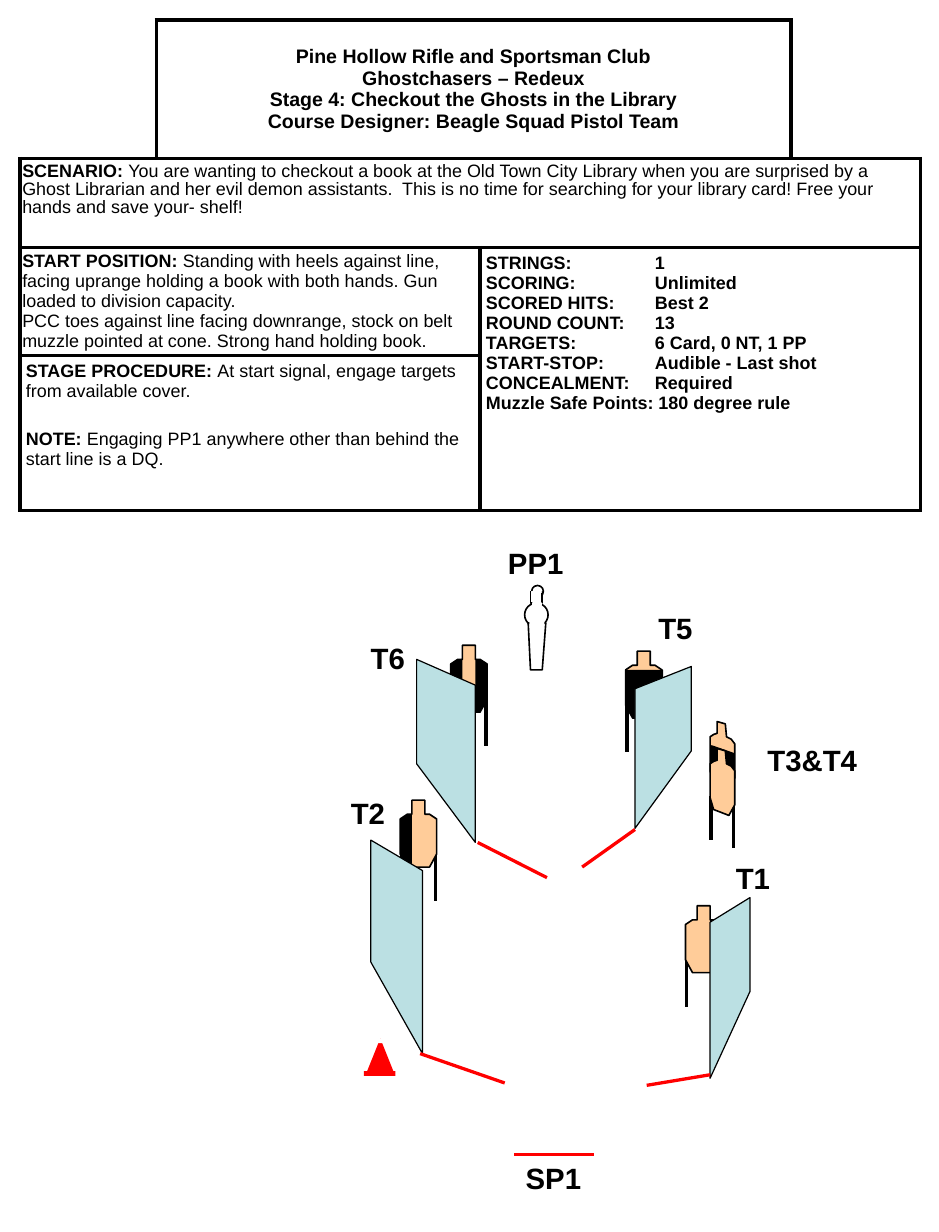
"""Build a one-page shooting stage briefing with its course diagram."""
from dataclasses import dataclass

from lxml.etree import SubElement
from pptx import Presentation
from pptx.dml.color import RGBColor
from pptx.enum.shapes import MSO_CONNECTOR, MSO_SHAPE
from pptx.enum.text import MSO_ANCHOR, PP_ALIGN
from pptx.oxml.ns import qn
from pptx.util import Inches, Pt


@dataclass(frozen=True)
class Theme:
    font: str = "Arial"
    black: RGBColor = RGBColor(0, 0, 0)
    white: RGBColor = RGBColor(255, 255, 255)
    red: RGBColor = RGBColor(255, 0, 0)
    tan: RGBColor = RGBColor(0xFF, 0xCC, 0x99)
    wall: RGBColor = RGBColor(0xBB, 0xE0, 0xE3)
    title: Pt = Pt(12)
    body: Pt = Pt(11)
    label: Pt = Pt(18)


theme = Theme()
presentation = Presentation()
presentation.slide_width, presentation.slide_height = Inches(8), Inches(10.5)
slide = presentation.slides.add_slide(presentation.slide_layouts[6])


def draw_line(start, end, color, width):
    ends = [Inches(value) for value in (*start, *end)]
    connector = slide.shapes.add_connector(MSO_CONNECTOR.STRAIGHT, *ends)
    connector.line.color.rgb = color
    connector.line.width = Pt(width)
    SubElement(connector._element.spPr, qn("a:effectLst"))


def draw_outline(points, fill, width, left=0, top=0):
    corners = [(Inches(left + x), Inches(top + y)) for x, y in points]
    builder = slide.shapes.build_freeform(*corners[0])
    builder.add_line_segments(corners[1:], close=True)
    shape = builder.convert_to_shape()
    shape.shadow.inherit = False
    shape.fill.solid()
    shape.fill.fore_color.rgb = fill
    if width:
        shape.line.color.rgb = theme.black
        shape.line.width = Pt(width)
    else:
        shape.line.fill.background()


columns = [1.16, 2.76, 2.65, 1.1]
rows = [1.18, 0.76, 0.92, 1.32]
table_shape = slide.shapes.add_table(
    len(rows), len(columns), Inches(0.17), Inches(0.17), Inches(sum(columns)), Inches(sum(rows)))
table = table_shape.table
table.first_row = table.horz_banding = False
for column, width in zip(table.columns, columns):
    column.width = Inches(width)
for row, height in zip(table.rows, rows):
    row.height = Inches(height)

open_sides = {(0, 0): "LT", (0, 3): "RT"}
for row in range(len(rows)):
    for column in range(len(columns)):
        cell = table.cell(row, column)
        properties = cell._tc.get_or_add_tcPr()
        for side in "LRTB":
            border = SubElement(properties, qn(f"a:ln{side}"), w=str(Pt(2.25)))
            if side in open_sides.get((row, column), ""):
                SubElement(border, qn("a:noFill"))
            else:
                solid = SubElement(border, qn("a:solidFill"))
                SubElement(solid, qn("a:srgbClr"), val=str(theme.black))
        cell.fill.solid()
        cell.fill.fore_color.rgb = theme.white

title = ("Pine Hollow Rifle and Sportsman Club\nGhostchasers – Redeux\n"
         "Stage 4: Checkout the Ghosts in the Library\nCourse Designer: Beagle Squad Pistol Team")
scenario = ("You are wanting to checkout a book at the Old Town City Library when you are surprised by a "
            "Ghost Librarian and her evil demon assistants.  This is no time for searching for your "
            "library card! Free your hands and save your- shelf!")
start_position = ("Standing with heels against line, facing uprange holding a book with both hands. "
                  "Gun loaded to division capacity.")
carbine_start = ("PCC toes against line facing downrange, stock on belt muzzle pointed at cone. "
                 "Strong hand holding book.")
details = ["STRINGS:\t1", "SCORING:\tUnlimited", "SCORED HITS:\tBest 2", "ROUND COUNT:\t13",
           "TARGETS:\t6 Card, 0 NT, 1 PP", "START-STOP:\tAudible - Last shot",
           "CONCEALMENT:\tRequired", "Muzzle Safe Points: 180 degree rule"]
sections = [
    ((0, 1), (0, 2), 0.05, 0.05, [(title, "")]),
    ((1, 0), (1, 3), 0.02, 0.04, [("SCENARIO: ", scenario)]),
    ((2, 0), (2, 1), 0.02, 0.03, [("START POSITION: ", start_position), ("", carbine_start)]),
    ((2, 2), (3, 3), 0.05, 0.05, [(detail, "") for detail in details]),
    ((3, 0), (3, 1), 0.05, 0.05, [
        ("STAGE PROCEDURE: ", "At start signal, engage targets from available cover."),
        ("NOTE: ", "Engaging PP1 anywhere other than behind the start line is a DQ.")]),
]
for first, last, side_margin, end_margin, entries in sections:
    cell = table.cell(*first)
    cell.merge(table.cell(*last))
    cell.margin_left = cell.margin_right = Inches(side_margin)
    cell.margin_top = cell.margin_bottom = Inches(end_margin)
    for index, (heading, text) in enumerate(entries):
        frame = cell.text_frame
        paragraph = frame.add_paragraph() if index else frame.paragraphs[0]
        if heading:
            paragraph.text = heading
        if text:
            paragraph.add_run().text = text
        for run in paragraph.runs:
            run.font.bold = run.text != text
        if "\t" in heading:
            tabs = SubElement(paragraph._p.get_or_add_pPr(), qn("a:tabLst"))
            SubElement(tabs, qn("a:tab"), pos=str(Inches(1.44)), algn="l")
        paragraph.font.name = theme.font
        paragraph.font.size = theme.title if heading == title else theme.body
        paragraph.font.color.rgb = theme.black
table.cell(0, 1).vertical_anchor = MSO_ANCHOR.MIDDLE
table.cell(0, 1).text_frame.paragraphs[0].alignment = PP_ALIGN.CENTER
table.cell(1, 0).text_frame.paragraphs[0].line_spacing = 0.9
table.cell(3, 0).text_frame.paragraphs[1].space_before = Pt(17)

target = [(0.1, 0), (0.21, 0), (0.21, 0.12), (0.25, 0.12), (0.31, 0.16), (0.31, 0.46),
          (0.25, 0.57), (0.06, 0.57), (0, 0.46), (0, 0.16), (0.06, 0.12), (0.1, 0.12)]
left_cover = [(0.1, 0.12), (0.1, 0.57), (0.06, 0.57), (0, 0.46), (0, 0.16), (0.06, 0.12)]
right_cover = [(0.31 - x, y) for x, y in left_cover]
low_cover = [(0, 0.16), (0.32, 0.16), (0.32, 0.45), (0.25, 0.57), (0.06, 0.57), (0, 0.46)]
targets = [(3.84, 5.5, [left_cover, right_cover]), (5.33, 5.55, [low_cover]),
           (5.84, 7.72, [right_cover]), (3.41, 6.82, [left_cover])]
for left, top, covers in targets:
    for offset in (0.01, 0.3):
        draw_line((left + offset, top + 0.43), (left + offset, top + 0.86), theme.black, 2.25)
    draw_outline(target, theme.tan, 1, left, top)
    for cover in covers:
        draw_outline(cover, theme.black, 0, left, top)

angled_target = [(0.13, 0.02), (0.06, 0), (0.06, 0.1), (0.03, 0.11), (0, 0.13), (0, 0.42),
                 (0.03, 0.52), (0.16, 0.57), (0.21, 0.48), (0.21, 0.19), (0.18, 0.15), (0.14, 0.13)]
angled_cover = [(0.21, 0.27), (0.21, 0.48), (0.16, 0.56), (0.03, 0.52), (0, 0.43), (0.01, 0.2)]
draw_outline(angled_target, theme.tan, 1, 6.05, 6.15)
draw_outline(angled_cover, theme.black, 0, 6.05, 6.15)
draw_line((6.25, 6.84), (6.25, 7.23), theme.black, 2.25)
draw_line((6.06, 6.78), (6.06, 7.16), theme.black, 2.25)
draw_outline(angled_target, theme.tan, 1, 6.05, 6.38)

popper_body = [(4.5, 5.31), (4.65, 5.31), (4.62, 5.71), (4.52, 5.71)]
popper_and_cone = [
    (MSO_SHAPE.OVAL, 4.53, 4.99, 0.1, 0.1, theme.white, theme.black),
    (MSO_SHAPE.OVAL, 4.47, 5.14, 0.2, 0.2, theme.white, theme.black),
    (MSO_SHAPE.RECTANGLE, 4.52, 5.04, 0.1, 0.1, theme.white, theme.black),
    (MSO_SHAPE.RECTANGLE, 4.51, 5.3, 0.13, 0.02, theme.white, None),
    (MSO_SHAPE.RECTANGLE, 4.54, 5.14, 0.07, 0.02, theme.white, theme.white),
    (MSO_SHAPE.RECTANGLE, 4.53, 5.04, 0.08, 0.01, theme.white, theme.white),
    (MSO_SHAPE.ISOSCELES_TRIANGLE, 3.12, 8.85, 0.24, 0.3, theme.red, None),
    (MSO_SHAPE.RECTANGLE, 3.18, 8.85, 0.12, 0.04, theme.white, None),
    (MSO_SHAPE.RECTANGLE, 3.1, 9.13, 0.27, 0.04, theme.red, None),
]
for index, (kind, left, top, width, height, fill, line) in enumerate(popper_and_cone):
    if index == 2:
        draw_outline(popper_body, theme.white, 1)
    shape = slide.shapes.add_shape(kind, Inches(left), Inches(top), Inches(width), Inches(height))
    shape.shadow.inherit = False
    shape.fill.solid()
    shape.fill.fore_color.rgb = fill
    if line is None:
        shape.line.fill.background()
    else:
        shape.line.color.rgb = line
        shape.line.width = Pt(1)

walls = [[(5.89, 6.4), (5.41, 7.06), (5.41, 5.87), (5.89, 5.68)],
         [(3.55, 6.51), (4.05, 7.18), (4.05, 5.84), (3.55, 5.62)],
         [(3.16, 8.2), (3.6, 8.98), (3.6, 7.42), (3.16, 7.16)],
         [(6.39, 8.45), (6.05, 9.19), (6.05, 7.86), (6.39, 7.65)]]
for wall in walls:
    draw_outline(wall, theme.wall, 0.75)

fault_lines = [((5.06, 9.84), (4.38, 9.84)), ((5.41, 7.07), (4.96, 7.39)), ((4.66, 7.48), (4.07, 7.18)),
               ((4.3, 9.23), (3.58, 8.98)), ((6.05, 9.16), (5.51, 9.25))]
for start, end in fault_lines:
    draw_line(start, end, theme.red, 2)

labels = [("SP1", 4.38, 9.84, 0.68), ("PP1", 4.23, 4.6, 0.73), ("T5", 5.51, 5.15, 0.58),
          ("T1", 6.17, 7.28, 0.58), ("T3&T4", 6.44, 6.28, 1.02), ("T6", 3.06, 5.41, 0.58),
          ("T2", 2.89, 6.73, 0.58)]
for text, left, top, width in labels:
    label = slide.shapes.add_textbox(Inches(left), Inches(top), Inches(width), Inches(0.4))
    label.text_frame.word_wrap = True
    paragraph = label.text_frame.paragraphs[0]
    paragraph.text = text
    paragraph.font.name = theme.font
    paragraph.font.size = theme.label
    paragraph.font.bold = True
    paragraph.font.color.rgb = theme.black

presentation.save("out.pptx")
